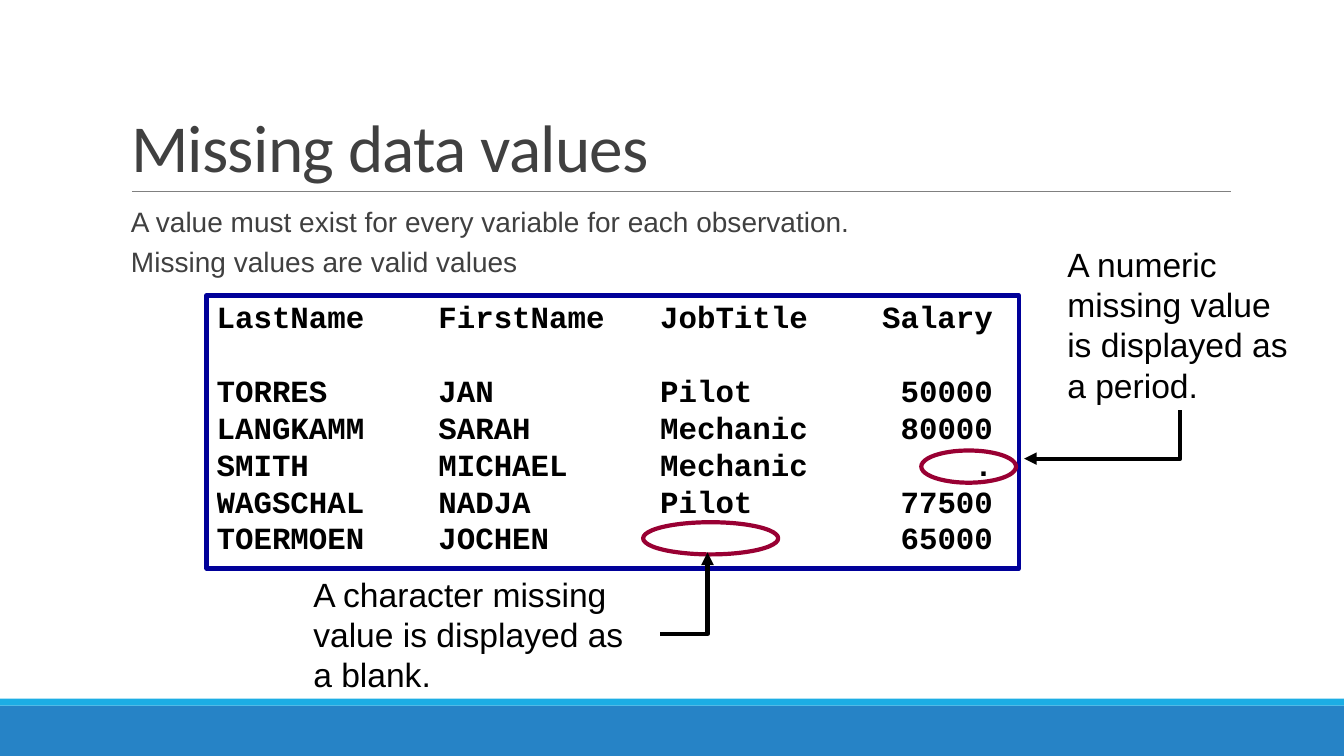
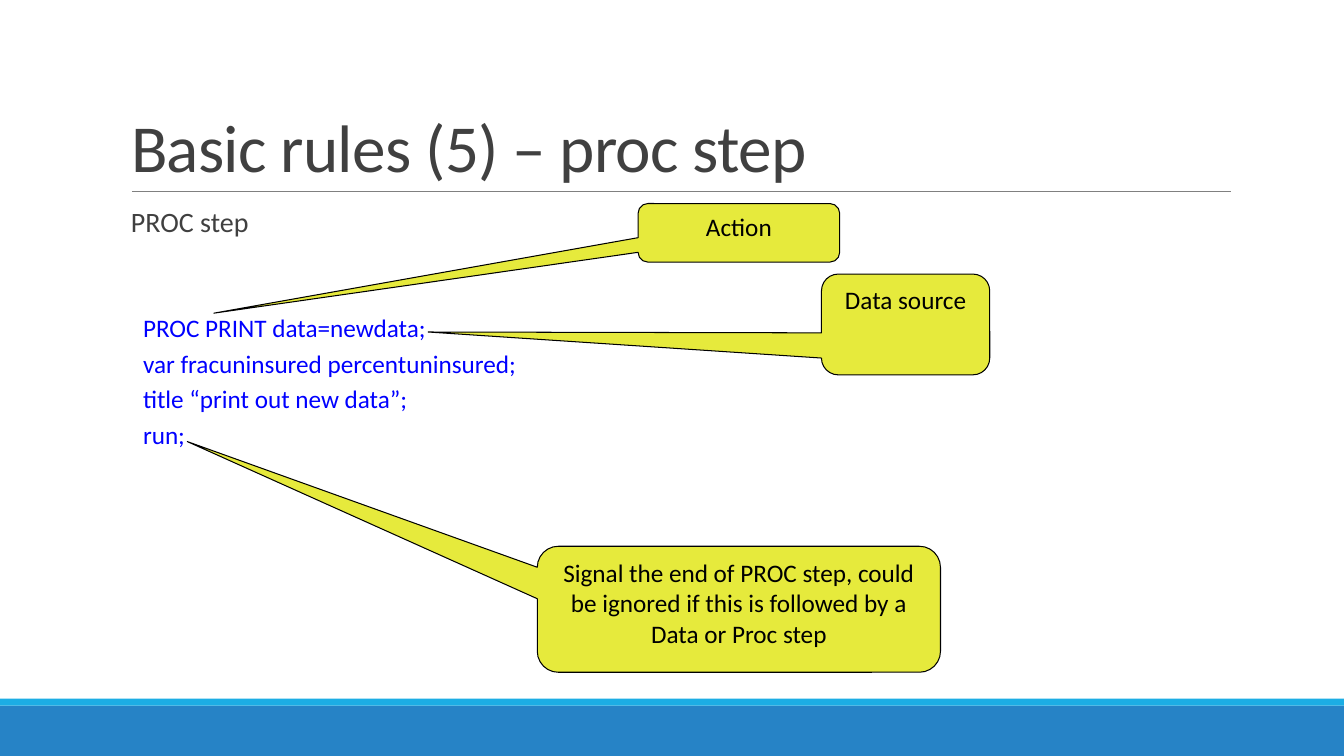
from dataclasses import dataclass

from lxml import etree
from pptx import Presentation
from pptx.dml.color import RGBColor
from pptx.enum.shapes import MSO_CONNECTOR, MSO_SHAPE
from pptx.enum.text import MSO_ANCHOR, MSO_AUTO_SIZE, PP_ALIGN
from pptx.oxml.ns import qn
from pptx.util import Pt

RECT, OVAL = MSO_SHAPE.RECTANGLE, MSO_SHAPE.OVAL
CALLOUT = MSO_SHAPE.ROUNDED_RECTANGULAR_CALLOUT
STRAIGHT, ELBOW = MSO_CONNECTOR.STRAIGHT, MSO_CONNECTOR.ELBOW
TOP, BOTTOM = MSO_ANCHOR.TOP, MSO_ANCHOR.BOTTOM
LEFT, CENTER, RIGHT = PP_ALIGN.LEFT, PP_ALIGN.CENTER, PP_ALIGN.RIGHT
NO_FIT = MSO_AUTO_SIZE.NONE
TITLE_ONLY = 5


def rgb(code: str) -> RGBColor:
    return RGBColor.from_string(code)


@dataclass(frozen=True)
class Theme:
    width: float = 960
    height: float = 540
    sans: str = "Arial"
    main: str = "Calibri"
    mono: str = "Courier New"
    title_size: float = 48
    note_size: float = 24
    listing_size: float = 22
    body_size: float = 20
    code_size: float = 18
    white: RGBColor = rgb("FFFFFF")
    black: RGBColor = rgb("000000")
    text: RGBColor = rgb("404040")
    rule: RGBColor = rgb("808080")
    band: RGBColor = rgb("2683C6")
    accent: RGBColor = rgb("1CADE4")
    frame: RGBColor = rgb("000099")
    ring: RGBColor = rgb("990033")
    code: RGBColor = rgb("0000FF")
    callout: RGBColor = rgb("E6EA3C")


T = Theme()


@dataclass(frozen=True)
class Box:
    x: float
    y: float
    w: float
    h: float


@dataclass(frozen=True)
class Para:
    text: str
    size: float
    font: str = T.main
    color: RGBColor = T.black
    bold: bool = False
    align: PP_ALIGN = LEFT
    before: float = 0
    after: float = 0
    spacing: float = 1.0  # multiple of a line, or points when above 10
    indent: float = 0


@dataclass(frozen=True)
class Callout:
    text: str
    box: Box
    tip: tuple[float, float]


@dataclass(frozen=True)
class Elbow:
    start: tuple[float, float]
    end: tuple[float, float]
    vertical_first: bool = False


TITLE_BOX = Box(86.4, 22.3, 792, 114.5)
BODY_BOX = Box(86.4, 145.4, 792, 316.8)


# Text
def add_paras(tf, paras: list[Para]) -> None:
    for i, para in enumerate(paras):
        p = tf.paragraphs[0] if i == 0 else tf.add_paragraph()
        p.alignment = para.align
        p.space_before, p.space_after = Pt(para.before), Pt(para.after)
        p.line_spacing = Pt(para.spacing) if para.spacing > 10 else para.spacing
        pPr = p._p.get_or_add_pPr()
        pPr.set("marL", str(Pt(para.indent)))
        pPr.set("indent", "0")
        for n, line in enumerate(para.text.split("\n")):
            if n:
                p.add_line_break()
            r = p.add_run()
            r.text = line
            r.font.name, r.font.size = para.font, Pt(para.size)
            r.font.bold, r.font.color.rgb = para.bold, para.color


def write(tf, paras: list[Para], side: float = 7.2, anchor=TOP) -> None:
    tf.word_wrap = True
    tf.auto_size = NO_FIT
    tf.vertical_anchor = anchor
    tf.margin_left = tf.margin_right = Pt(side)
    tf.margin_top = tf.margin_bottom = Pt(3.6)
    add_paras(tf, paras)


def add_text(slide, box: Box, paras: list[Para], side: float = 7.2) -> None:
    sp = slide.shapes.add_textbox(Pt(box.x), Pt(box.y), Pt(box.w), Pt(box.h))
    write(sp.text_frame, paras, side)


# Shapes and lines
def add_shape(slide, kind, box: Box, fill=None, line=None, weight: float = 0):
    sp = slide.shapes.add_shape(kind, Pt(box.x), Pt(box.y), Pt(box.w), Pt(box.h))
    sp.shadow.inherit = False
    if fill is None:
        sp.fill.background()
    else:
        sp.fill.solid()
        sp.fill.fore_color.rgb = fill
    if line is None:
        sp.line.fill.background()
    else:
        sp.line.color.rgb, sp.line.width = line, Pt(weight)
    return sp


def add_line(slide, kind, start, end, color: RGBColor, weight: float):
    c = slide.shapes.add_connector(kind, *map(Pt, (*start, *end)))
    c.line.color.rgb, c.line.width = color, Pt(weight)
    etree.SubElement(c.element.spPr, qn("a:effectLst"))
    return c


def add_elbow(slide, elbow: Elbow) -> None:
    start, end = elbow.start, elbow.end
    if elbow.vertical_first:  # lay it out unrotated, then turn it by 90 degrees
        cx, cy = (start[0] + end[0]) / 2, (start[1] + end[1]) / 2
        start, end = ((cx + y - cy, cy - x + cx) for x, y in (start, end))
    c = add_line(slide, ELBOW, start, end, T.black, 3)
    spPr = c.element.spPr
    spPr.find(qn("a:prstGeom")).set("prst", "bentConnector2")
    if elbow.vertical_first:
        spPr.find(qn("a:xfrm")).set("rot", "5400000")
    etree.SubElement(spPr.find(qn("a:ln")), qn("a:tailEnd"), type="triangle")


def add_callout(slide, callout: Callout) -> None:
    box = callout.box
    sp = add_shape(slide, CALLOUT, box, T.callout, T.black, 0.75)
    sp.adjustments[0] = (callout.tip[0] - box.x) / box.w - 0.5
    sp.adjustments[1] = (callout.tip[1] - box.y) / box.h - 0.5
    write(sp.text_frame, [Para(callout.text, T.code_size, align=CENTER)])


# Data listing: a plain table in a frame, columns sized in characters
def add_listing(slide, frame: Box, rows, column_chars) -> None:
    add_shape(slide, RECT, frame, T.white, T.frame, 3)
    pitch = T.listing_size * 1.2
    widths = [n * T.listing_size * 0.6 for n in column_chars]
    heights = [2 * pitch] + [pitch] * (len(rows) - 1)
    table = slide.shapes.add_table(
        len(rows), len(widths), Pt(frame.x + 7.2), Pt(frame.y + 3.6),
        Pt(sum(widths)), Pt(sum(heights))).table
    table.first_row = table.horz_banding = False
    for column, width in zip(table.columns, widths):
        column.width = Pt(width)
    for row, height, values in zip(table.rows, heights, rows):
        row.height = Pt(height)
        for i, (cell, value) in enumerate(zip(row.cells, values)):
            cell.fill.background()
            cell.vertical_anchor = TOP
            cell.margin_left = cell.margin_right = 0
            cell.margin_top = cell.margin_bottom = 0
            if value:
                align = RIGHT if i == len(widths) - 1 else LEFT
                add_paras(cell.text_frame,
                          [Para(value, T.listing_size, T.mono, bold=True,
                                align=align, spacing=pitch)])


# Shared slide frame
def new_slide(prs, title: str):
    slide = prs.slides.add_slide(prs.slide_layouts[TITLE_ONLY])
    add_shape(slide, RECT, Box(0, 504, T.width, 36), T.band)
    add_shape(slide, RECT, Box(0, 499, T.width, 5), T.accent)
    add_line(slide, STRAIGHT, (94.3, 136.8), (879.1, 136.8), T.rule, 0.5)
    sp = slide.shapes.title
    sp.left, sp.top = Pt(TITLE_BOX.x), Pt(TITLE_BOX.y)
    sp.width, sp.height = Pt(TITLE_BOX.w), Pt(TITLE_BOX.h)
    write(sp.text_frame, [Para(title, T.title_size, color=T.text, spacing=0.85)],
          anchor=BOTTOM)
    sp.text_frame.paragraphs[0].runs[0].font._element.set("spc", "-50")
    return slide


# Slide 1: missing values
def missing_values(prs) -> None:
    slide = new_slide(prs, "Missing data values")
    facts = ("A value must exist for every variable for each observation.",
             "Missing values are valid values")
    add_text(slide, BODY_BOX,
             [Para(fact, T.body_size, T.sans, T.text, before=4.5, after=2,
                   spacing=0.9, indent=7.2) for fact in facts], side=0)

    rows = (("LastName", "FirstName", "JobTitle", "Salary"),
            ("TORRES", "JAN", "Pilot", "50000"),
            ("LANGKAMM", "SARAH", "Mechanic", "80000"),
            ("SMITH", "MICHAEL", "Mechanic", "."),
            ("WAGSCHAL", "NADJA", "Pilot", "77500"),
            ("TOERMOEN", "JOCHEN", "", "65000"))
    add_listing(slide, Box(147.6, 211, 580.3, 195.1), rows, (12, 12, 11, 7))

    # Rings, notes and arrows
    for ring in (Box(459.4, 373, 96.5, 23), Box(658.1, 321.8, 67.7, 23)):
        add_shape(slide, OVAL, ring, line=T.ring, weight=3)
    notes = (
        (Box(755.3, 170.6, 175, 122.4),
         "A numeric missing value is displayed as a period."),
        (Box(216.7, 406.1, 254.9, 93.6),
         "A character missing\nvalue is displayed as a blank."))
    for box, text in notes:
        add_text(slide, box,
                 [Para(text, T.note_size, T.sans, spacing=T.note_size * 1.2)])
    for elbow in (Elbow((471.6, 452.9), (505.4, 394.6)),
                  Elbow((843.1, 293), (731.5, 327.6), vertical_first=True)):
        add_elbow(slide, elbow)


# Slide 2: proc step
def proc_step(prs) -> None:
    slide = new_slide(prs, "Basic rules (5) – proc step")
    code = ("PROC PRINT data=newdata;", "var fracuninsured percentuninsured;",
            "title “print out new data”;", "run;")
    heading = Para("PROC step", T.body_size, color=T.text, after=2,
                   spacing=0.9, indent=7.2)
    lines = [Para(line, T.code_size, color=T.code, before=2 if i else 53,
                  after=4, spacing=0.9, indent=15.8)
             for i, line in enumerate(code)]
    add_text(slide, BODY_BOX, [heading, *lines], side=0)

    callouts = (
        Callout("Action", Box(455.8, 145.4, 144, 41.8), (152.8, 223.7)),
        Callout("Data source", Box(586.8, 195.8, 120.2, 72), (305.8, 237.2)),
        Callout("Signal the end of PROC step, could be ignored if this is "
                "followed by a Data or Proc step",
                Box(383.8, 390.2, 288, 90), (133.8, 315.4)))
    for callout in callouts:
        add_callout(slide, callout)


prs = Presentation()
prs.slide_width, prs.slide_height = Pt(T.width), Pt(T.height)
missing_values(prs)
proc_step(prs)
prs.save("out.pptx")
